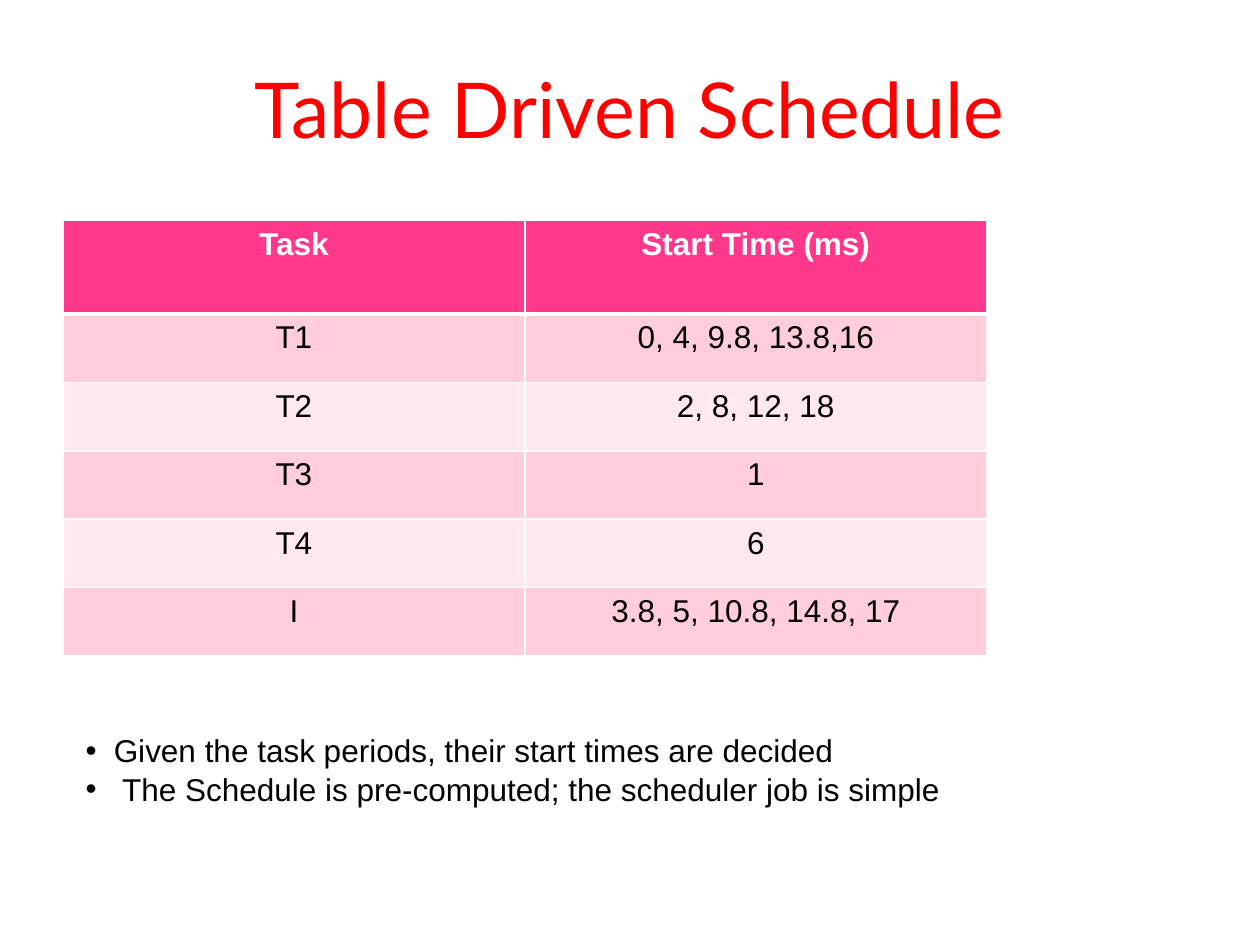
from lxml.etree import SubElement
from pptx import Presentation
from pptx.dml.color import RGBColor
from pptx.enum.text import MSO_ANCHOR as Anchor, MSO_AUTO_SIZE as AutoSize, PP_ALIGN as Align
from pptx.oxml.ns import qn
from pptx.util import Cm, Pt

ROWS = [
    ("Task", "Start Time (ms)"),
    ("T1", "0, 4, 9.8, 13.8,16"),
    ("T2", "2, 8, 12, 18"),
    ("T3", "1"),
    ("T4", "6"),
    ("I", "3.8, 5, 10.8, 14.8, 17"),
]
# Each point with the distance from its bullet to its text, in cm
POINTS = [
    ("Given the task periods, their start times are decided", 0.57),
    ("The Schedule is pre-computed; the scheduler job is simple", 0.74),
]


def color(value):
    return RGBColor.from_string(value)


class SlideBuilder:
    TITLE = {"name": "Lato", "size": Pt(44), "bold": False}
    TEXT = {"name": "Arial", "size": Pt(18), "bold": False}
    HEADER = {**TEXT, "bold": True}
    RED, PINK, WHITE, BLACK = "FF0000", "FF388C", "FFFFFF", "000000"
    BANDS = ("FFCEDA", "FFE8EE")

    def __init__(self, page):
        self.page = page

    def add_text(self, para, text, style, ink, align):
        para.alignment = align
        span = para.add_run()
        span.text = text
        for key, value in style.items():
            setattr(span.font, key, value)
        span.font.color.rgb = color(ink)

    def place(self, box, left, top, width, height):
        places = {"left": left, "top": top, "width": width, "height": height}
        for key, value in places.items():
            setattr(box, key, Cm(value))

    def title(self, text, *area):
        box = self.page.shapes.title
        self.place(box, *area)
        box.text_frame.vertical_anchor = Anchor.MIDDLE
        self.add_text(box.text_frame.paragraphs[0], text, self.TITLE, self.RED, Align.CENTER)

    def bullets(self, points, *area):
        box = self.page.placeholders[1]
        self.place(box, *area)
        frame = box.text_frame
        frame.auto_size = AutoSize.SHAPE_TO_FIT_TEXT
        for index, (text, indent) in enumerate(points):
            para = frame.add_paragraph() if index else frame.paragraphs[0]
            para.space_before = Pt(0)
            para.line_spacing = Pt(22)
            self.add_text(para, text, self.TEXT, self.BLACK, Align.LEFT)
            props = para._p.get_or_add_pPr()
            props.set("marL", str(Cm(indent)))
            props.set("indent", str(-Cm(indent)))
            SubElement(props, qn("a:buFont"), typeface="Arial")
            SubElement(props, qn("a:buChar"), char="•")

    def borders(self, cell, **widths):
        """Draw white cell borders; widths in points, keyed L, R, T and B."""
        props = cell._tc.get_or_add_tcPr()
        for side, width in widths.items():
            line = SubElement(props, qn(f"a:ln{side}"), w=str(Pt(width)))
            fill = SubElement(line, qn("a:solidFill"))
            SubElement(fill, qn("a:srgbClr"), val=self.WHITE)

    def table(self, rows, left, top, width, header_height, row_height):
        height = header_height + row_height * (len(rows) - 1)
        area = [Cm(value) for value in (left, top, width, height)]
        table = self.page.shapes.add_table(len(rows), len(rows[0]), *area).table
        for r, texts in enumerate(rows):
            table.rows[r].height = Cm(row_height if r else header_height)
            style, ink, fill = self.HEADER, self.WHITE, self.PINK
            if r:
                style, ink, fill = self.TEXT, self.BLACK, self.BANDS[(r - 1) % 2]
            for c, text in enumerate(texts):
                cell = table.cell(r, c)
                self.add_text(cell.text_frame.paragraphs[0], text, style, ink, Align.CENTER)
                self.borders(cell, L=1, R=1, T=3 if r == 1 else 1, B=1 if r else 3)
                cell.fill.solid()
                cell.fill.fore_color.rgb = color(fill)


def main():
    deck = Presentation()
    deck.slide_width, deck.slide_height = Cm(25.4), Cm(19.05)
    builder = SlideBuilder(deck.slides.add_slide(deck.slide_layouts[1]))
    builder.title("Table Driven Schedule", 1.27, 0.76, 22.86, 2.84)
    builder.table(ROWS, 1.27, 4.45, 18.62, 1.88, 1.38)
    builder.bullets(POINTS, 1.47, 14.6, 20.12, 1.8)
    deck.save("out.pptx")


if __name__ == "__main__":
    main()
